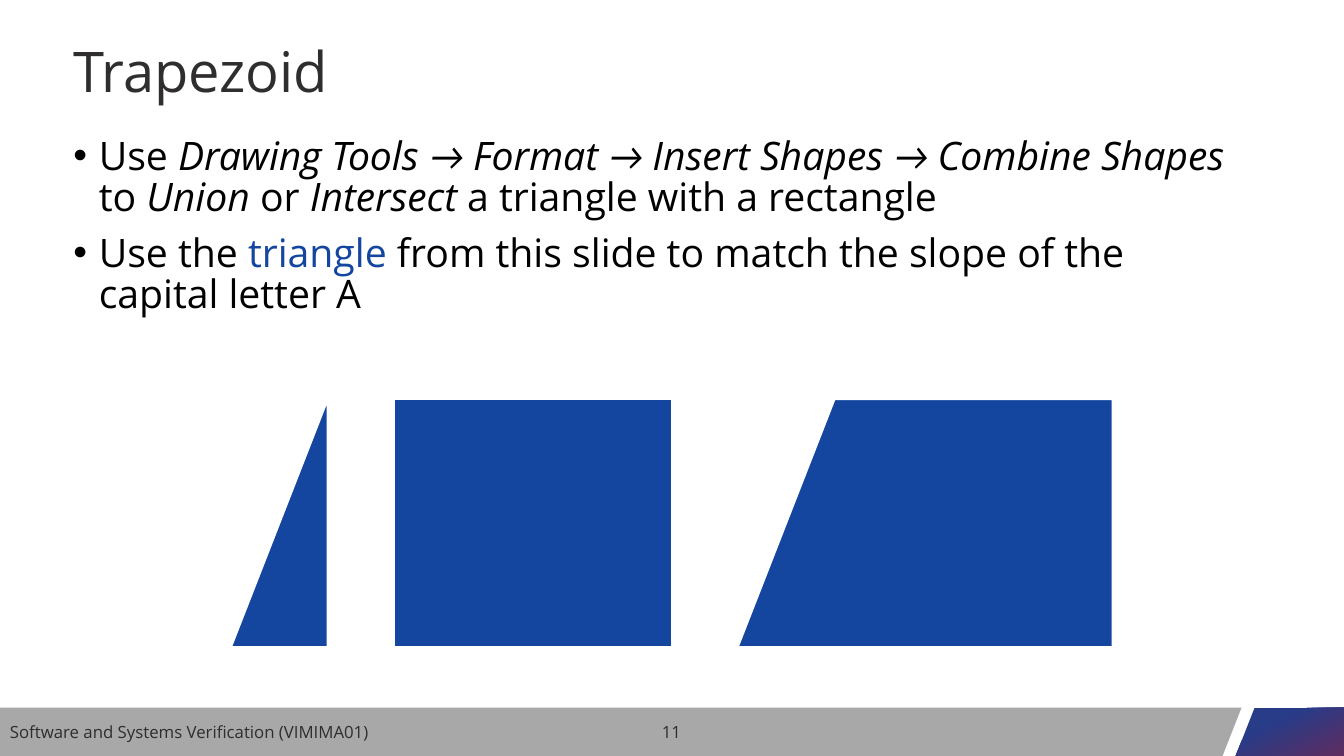
"""Build the slide on combining a triangle and a rectangle into a trapezoid."""
from lxml import etree
from pptx import Presentation
from pptx.dml.color import RGBColor
from pptx.enum.shapes import MSO_SHAPE
from pptx.enum.text import MSO_ANCHOR, PP_ALIGN
from pptx.oxml.ns import qn
from pptx.util import Cm, Pt

TRIANGLE, RECTANGLE = MSO_SHAPE.RIGHT_TRIANGLE, MSO_SHAPE.RECTANGLE
MIDDLE, TOP = MSO_ANCHOR.MIDDLE, MSO_ANCHOR.TOP
LEFT, CENTER = PP_ALIGN.LEFT, PP_ALIGN.CENTER

COLORS = {"blue": "1446A0", "dark": "2F2D2E", "black": "000000", "white": "FFFFFF",
          "gray": "A7A8A7", "indigo": "283C88", "plum": "5F2C60"}
FONT, ARROW_FONT = "Open Sans", "Calibri"

TITLE = "Trapezoid"
BULLETS = [
    [[("Use ", ""), ("Drawing Tools ", "italic"), ("→ ", "arrow"), ("Format ", "italic"),
      ("→ ", "arrow"), ("Insert Shapes ", "italic"), ("→ ", "arrow"),
      ("Combine Shapes ", "italic"), ("to ", ""), ("Union", "italic"), (" or ", ""),
      ("Intersect", "italic"), (" a triangle with a rectangle", "")]],
    [[("Use the ", ""), ("triangle", "blue"),
      (" from this slide to match the slope of the", "")],
     [("capital letter A", "")]],
]
FOOTERS = [("Software and Systems Verification (VIMIMA01)", 0, 11.43, LEFT),
           ("11", 13.11, 7.62, CENTER)]

WIDTH, HEIGHT = 33.87, 19.05
BAR_TOP, SLANT = 17.83, 0.48
BAR_RIGHT, ACCENT_LEFT = 31.29, 31.62
MARGIN, TEXT_WIDTH = 1.6, 30.61
FIGURE_LEFT, FIGURE_TOP, FIGURE_HEIGHT, GAP = 5.82, 10.06, 6.25, 1.66
TRIANGLE_WIDTH, RECTANGLE_WIDTH = 2.44, 7.01


def rgb(name):
    return RGBColor.from_string(COLORS[name])


def style_run(run, size, color, font=FONT, italic=False):
    run.font.size = Pt(size)
    run.font.name = font
    run.font.italic = italic
    run.font.color.rgb = rgb(color)


def prepare_frame(shape, anchor):
    frame = shape.text_frame
    frame.word_wrap = True
    frame.vertical_anchor = anchor
    return frame


def add_polygon(slide, points):
    corners = [(Cm(x), Cm(y)) for x, y in points]
    builder = slide.shapes.build_freeform(*corners[0])
    builder.add_line_segments(corners[1:], close=True)
    shape = builder.convert_to_shape()
    shape.shadow.inherit = False
    shape.line.fill.background()
    return shape


def style_figure(shape):
    shape.shadow.inherit = False
    shape.fill.solid()
    shape.fill.fore_color.rgb = rgb("blue")
    shape.line.color.rgb = rgb("white")
    shape.line.width = Pt(1.5)


def add_footer(slide):
    bar = add_polygon(slide, [(0, BAR_TOP), (BAR_RIGHT, BAR_TOP),
                              (BAR_RIGHT - SLANT, HEIGHT), (0, HEIGHT)])
    bar.fill.solid()
    bar.fill.fore_color.rgb = rgb("gray")
    accent = add_polygon(slide, [(ACCENT_LEFT, BAR_TOP), (WIDTH, BAR_TOP),
                                 (WIDTH, HEIGHT), (ACCENT_LEFT - SLANT, HEIGHT)])
    accent.fill.gradient()
    accent.fill.gradient_angle = 296
    for stop, color, position in zip(accent.fill.gradient_stops, ("indigo", "plum"), (0.32, 1)):
        stop.color.rgb = rgb(color)
        stop.position = position
    for text, left, width, alignment in FOOTERS:
        box = slide.shapes.add_textbox(Cm(left), Cm(17.91), Cm(width), Cm(1.07))
        paragraph = prepare_frame(box, MIDDLE).paragraphs[0]
        paragraph.text = text
        paragraph.alignment = alignment
        style_run(paragraph.runs[0], 12, "dark")


def add_title(slide):
    title = slide.shapes.title
    title.left, title.top = Cm(MARGIN), Cm(0.86)
    title.width, title.height = Cm(TEXT_WIDTH), Cm(2.01)
    paragraph = prepare_frame(title, MIDDLE).paragraphs[0]
    paragraph.text = TITLE
    paragraph.alignment = LEFT
    paragraph.line_spacing = 0.9
    style_run(paragraph.runs[0], 40, "dark")


def add_bullets(slide):
    box = slide.shapes.add_textbox(Cm(MARGIN), Cm(3.33), Cm(TEXT_WIDTH), Cm(14.02))
    frame = prepare_frame(box, TOP)
    for index, lines in enumerate(BULLETS):
        paragraph = frame.add_paragraph() if index else frame.paragraphs[0]
        paragraph.space_before = Pt(10)
        paragraph.line_spacing = 0.88
        properties = paragraph._p.get_or_add_pPr()
        properties.set("marL", str(Cm(0.64)))
        properties.set("indent", str(-Cm(0.64)))
        etree.SubElement(properties, qn("a:buFont")).set("typeface", "Arial")
        etree.SubElement(properties, qn("a:buChar")).set("char", "•")
        for number, line in enumerate(lines):
            if number:
                paragraph.add_line_break()
            for text, kind in line:
                run = paragraph.add_run()
                run.text = text
                style_run(run, 28, "blue" if kind == "blue" else "black",
                          ARROW_FONT if kind == "arrow" else FONT,
                          kind in ("italic", "arrow"))


def add_figures(slide):
    rectangle_left = FIGURE_LEFT + TRIANGLE_WIDTH + GAP
    trapezoid_left = rectangle_left + RECTANGLE_WIDTH + GAP
    trapezoid_right = trapezoid_left + TRIANGLE_WIDTH + RECTANGLE_WIDTH
    bottom = FIGURE_TOP + FIGURE_HEIGHT
    triangle, rectangle = [
        slide.shapes.add_shape(kind, Cm(left), Cm(FIGURE_TOP), Cm(width), Cm(FIGURE_HEIGHT))
        for kind, left, width in ((TRIANGLE, FIGURE_LEFT, TRIANGLE_WIDTH),
                                  (RECTANGLE, rectangle_left, RECTANGLE_WIDTH))]
    triangle._element.spPr.find(qn("a:xfrm")).set("flipH", "1")
    trapezoid = add_polygon(slide, [(trapezoid_left + TRIANGLE_WIDTH, FIGURE_TOP),
                                    (trapezoid_right, FIGURE_TOP),
                                    (trapezoid_right, bottom), (trapezoid_left, bottom)])
    for shape in (triangle, rectangle, trapezoid):
        style_figure(shape)


def main():
    presentation = Presentation()
    presentation.slide_width, presentation.slide_height = Cm(WIDTH), Cm(HEIGHT)
    slide = presentation.slides.add_slide(presentation.slide_layouts[5])
    add_footer(slide)
    add_bullets(slide)
    add_title(slide)
    add_figures(slide)
    presentation.save("out.pptx")


if __name__ == "__main__":
    main()
